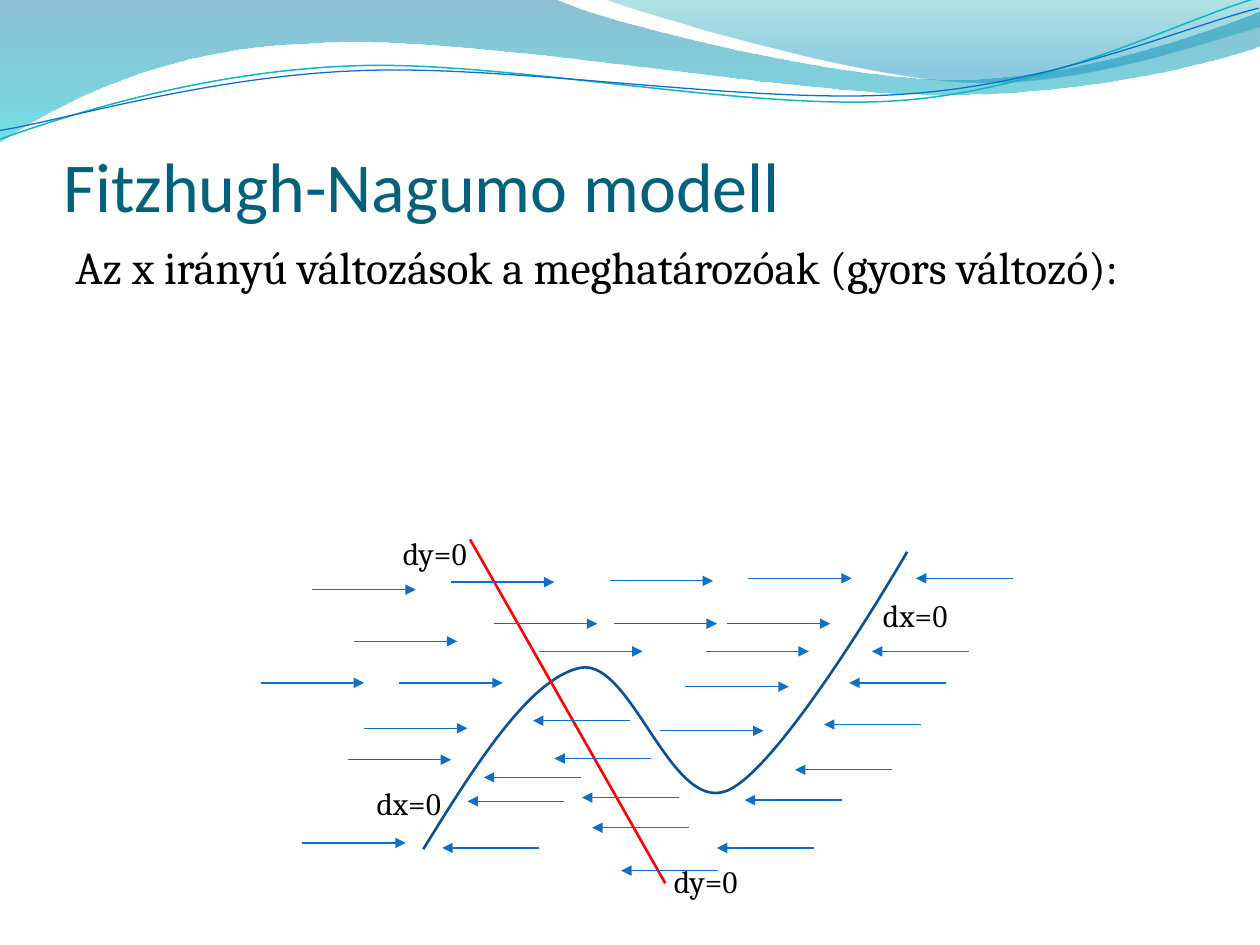
import pptx
import pptx.dml.color
import pptx.enum.shapes
import pptx.enum.text
import pptx.oxml.ns
import pptx.util
from lxml import etree

Inches = pptx.util.Inches
Pt = pptx.util.Pt
qn = pptx.oxml.ns.qn
STRAIGHT = pptx.enum.shapes.MSO_CONNECTOR.STRAIGHT
BLUE = "0F6FC6"


def rgb(hex_string):
    return pptx.dml.color.RGBColor.from_string(hex_string)


def add_curve(start, pieces, closed=False):
    """Draw an outline of lines (2 numbers) and cubic Bézier pieces (6 numbers)."""
    points = [piece[i:i + 2] for piece in pieces for i in range(0, len(piece), 2)]
    builder = slide.shapes.build_freeform(*map(Inches, start))
    builder.add_line_segments([tuple(map(Inches, point)) for point in points], close=closed)
    outline = builder.convert_to_shape()
    outline.shadow.inherit = False
    # Each run of three straight steps becomes one Bézier piece
    steps = iter(list(outline.element.iter(qn("a:lnTo"))))
    for piece in pieces:
        group = [next(steps) for _ in range(len(piece) // 2)]
        if len(group) == 3:
            bezier = etree.Element(qn("a:cubicBezTo"))
            group[0].addprevious(bezier)
            for step in group:
                bezier.append(step[0])
                step.getparent().remove(step)
    return outline


presentation = pptx.Presentation()
presentation.slide_width = Inches(10)
presentation.slide_height = Inches(7.5)
slide = presentation.slides.add_slide(presentation.slide_layouts[5])

# Header waves: (start, pieces, gradient stops as position, colour, opacity in %)
wave_bands = [
    ((0, 0),
     [(4.4, -0.01), (4.76, 0.17, 6.64, 0.63, 7.58, 0.63), (8.53, 0.63, 9.58, 0.26, 10, 0.09),
      (10.01, 0.36), (9.83, 0.44, 8.7, 0.76, 7.46, 0.75), (6.22, 0.75, 3.82, 0.28, 2.57, 0.34),
      (1.29, 0.36, 0.46, 0.83, -0.01, 1.13)],
     [(0, "0074A1", 45), (1, "00C6CF", 55)]),
    ((4.79, -0.01),
     [(5.09, 0.11, 6.82, 0.62, 7.69, 0.65), (8.56, 0.69, 9.61, 0.32, 10, 0.21), (10, 0)],
     [(0, "00A1A9", 30), (0.8, "008BBF", 45)]),
]
for start, pieces, stops in wave_bands:
    band = add_curve(start, pieces, closed=True)
    band.line.fill.background()
    band.fill.gradient()
    band.fill.gradient_angle = 270
    for stop, (position, color, _) in zip(band.fill.gradient_stops, stops):
        stop.position = position
        stop.color.rgb = rgb(color)
    gradient_colors = band.element.spPr.iter(qn("a:srgbClr"))
    for gradient_color, (_, _, opacity) in zip(gradient_colors, stops):
        etree.SubElement(gradient_color, qn("a:alpha"), val=str(opacity * 1000))

# Header wave lines (tilted) and the dx=0 nullcline
curves = [
    ((-0.02, 0.87),
     [(0.47, 0.72, 1.58, 0.41, 2.78, 0.42), (3.96, 0.42, 5.91, 0.93, 7.12, 0.9),
      (8.32, 0.87, 9.4, 0.36, 10, 0.22)], "0AB8BF", 0.85, 357.3),
    ((-0.02, 0.8),
     [(0.46, 0.75, 1.64, 0.45, 2.83, 0.46), (4.04, 0.46, 5.96, 0.88, 7.16, 0.85),
      (8.35, 0.83, 9.42, 0.42, 10.01, 0.3)], BLUE, 0.75, 357.3),
    ((3.36, 6.74),
     [(3.78, 6.06, 4.21, 5.38, 4.61, 5.3), (5.01, 5.23, 5.32, 6.44, 5.76, 6.28),
      (6.19, 6.13, 7.2, 4.38, 7.2, 4.38)], "0B5292", 1.5, 0),
]
for start, pieces, color, width, rotation in curves:
    curve = add_curve(start, pieces)
    curve.rotation = rotation
    curve.fill.background()
    curve.line.color.rgb = rgb(color)
    curve.line.width = Pt(width)

# Title
title = slide.shapes.title
title.left, title.top, title.width, title.height = map(Inches, (0.5, 0.77, 9, 1.03))
title_frame = title.text_frame
title_frame.text = "Fitzhugh-Nagumo modell"
title_frame.vertical_anchor = pptx.enum.text.MSO_ANCHOR.BOTTOM
title_frame.margin_left = title_frame.margin_right = title_frame.margin_bottom = 0
title_frame.margin_top = Inches(0.05)
title_frame.paragraphs[0].alignment = pptx.enum.text.PP_ALIGN.LEFT
title_font = title_frame.paragraphs[0].runs[0].font
title_font.name = "Calibri"
title_font.size = Pt(40)
title_font.color.rgb = rgb("04617B")

# Statement under the title
statement = slide.shapes.add_textbox(Inches(0.5), Inches(1.85), Inches(9.3), Inches(0.63))
statement.text_frame.word_wrap = True
statement.text_frame.text = "Az x irányú változások a meghatározóak (gyors változó):"
statement_font = statement.text_frame.paragraphs[0].runs[0].font
statement_font.name = "Cambria"
statement_font.size = Pt(26)
statement_font.color.rgb = rgb("000000")

# The dy=0 nullcline, then the flow along x: (tail x, y) of each arrow
rightward_tails = [
    (3.58, 4.62), (2.48, 4.68), (4.87, 4.95), (5.77, 4.95), (5.6, 5.17), (5.44, 5.45),
    (5.24, 5.8), (3.17, 5.42), (2.81, 5.09), (4.84, 4.61), (3.92, 4.95), (5.94, 4.59),
    (4.28, 5.17), (2.76, 6.03), (2.89, 5.78), (2.07, 5.42), (2.4, 6.69),
]
leftward_tails = [
    (5.47, 6.57), (5.7, 6.91), (4.61, 6.17), (4.48, 6.36), (4.28, 6.73), (5.39, 6.33),
    (5.17, 6.02), (5, 5.72), (6.68, 6.35), (7.08, 6.11), (7.31, 5.75), (7.51, 5.42),
    (7.69, 5.17), (8.04, 4.59), (6.46, 6.73),
]
segments = [(3.73, 4.28, 5.28, 7.01, "FF0000", 1.5, False)]
for tails, reach in ((rightward_tails, 0.82), (leftward_tails, -0.77)):
    segments += [(x, y, x + reach, y, BLUE, 0.75, True) for x, y in tails]
for x1, y1, x2, y2, color, width, has_head in segments:
    segment = slide.shapes.add_connector(STRAIGHT, *map(Inches, (x1, y1, x2, y2)))
    segment.line.color.rgb = rgb(color)
    segment.line.width = Pt(width)
    if has_head:
        outline = segment.element.spPr.find(qn("a:ln"))
        etree.SubElement(outline, qn("a:tailEnd"), type="triangle")
    etree.SubElement(segment.element.spPr, qn("a:effectLst"))

# Nullcline labels
for variable, left, top in (("dx=", 6.91, 4.68), ("dx=", 2.89, 6.17),
                            ("dy=", 3.1, 4.19), ("dy=", 5.25, 6.79)):
    label = slide.shapes.add_textbox(Inches(left), Inches(top), Inches(0.74), Inches(0.4))
    label.text_frame.word_wrap = False
    label.text_frame.auto_size = pptx.enum.text.MSO_AUTO_SIZE.SHAPE_TO_FIT_TEXT
    paragraph = label.text_frame.paragraphs[0]
    for text, typeface in ((variable, "Cambria"), ("0", "Times New Roman")):
        run = paragraph.add_run()
        run.text = text
        run.font.name = typeface
        run.font.size = Pt(18)
        run.font.color.rgb = rgb("000000")

presentation.save("out.pptx")
